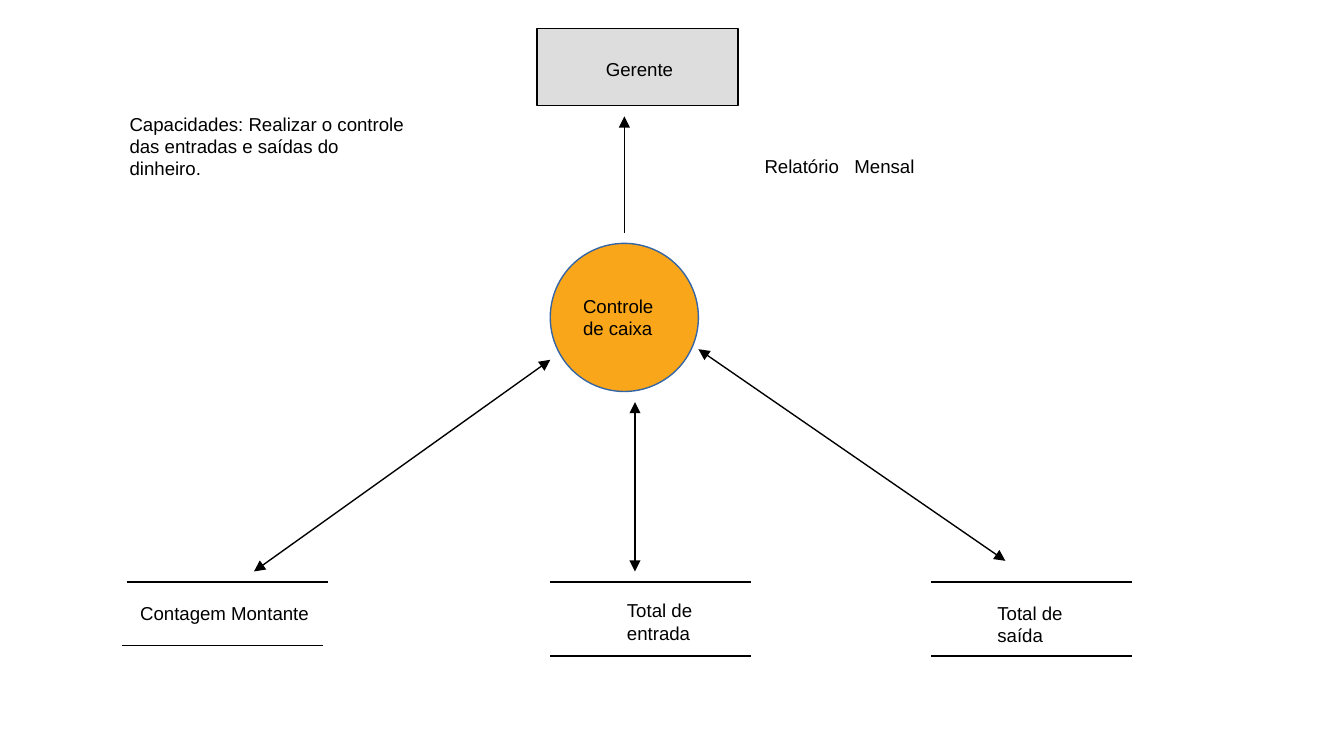
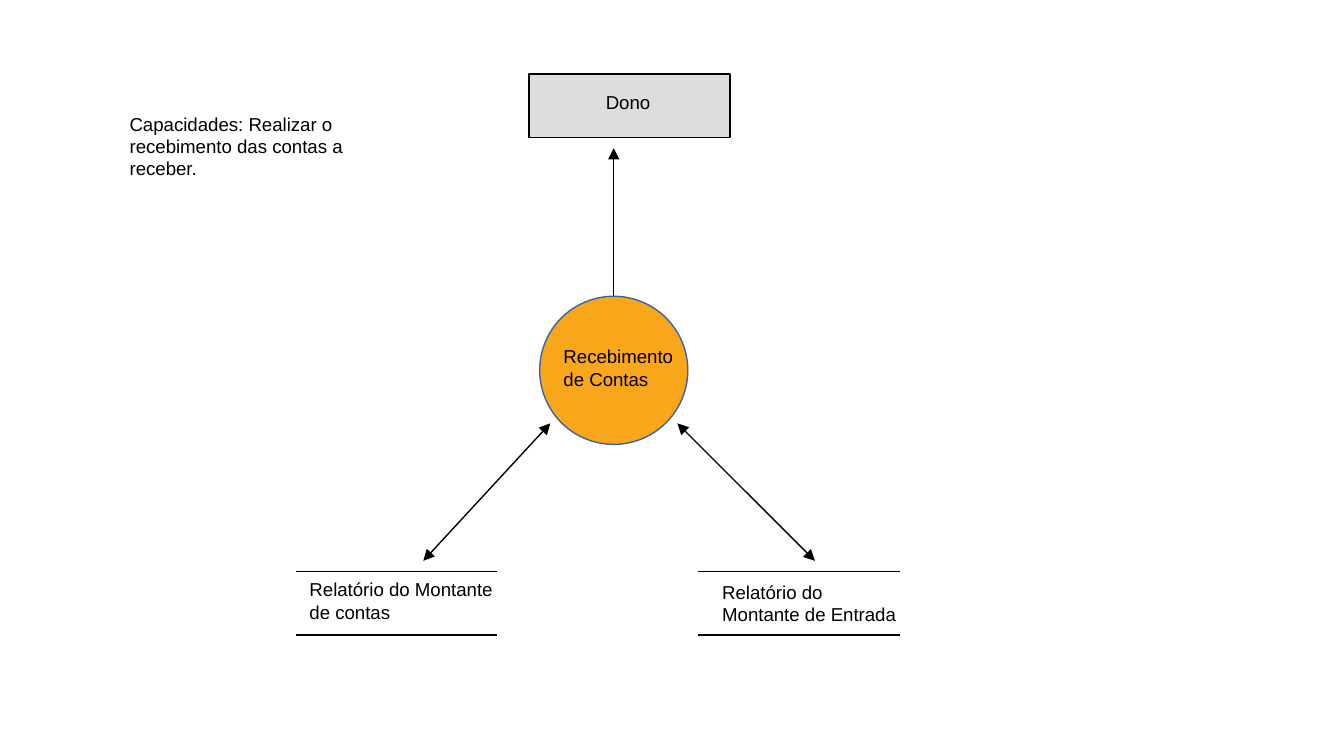
from lxml.etree import SubElement
from pptx import Presentation
from pptx.dml.color import RGBColor
from pptx.enum.shapes import MSO_CONNECTOR as CONN, MSO_SHAPE as SHAPE
from pptx.enum.text import MSO_ANCHOR as ANCHOR, PP_ALIGN as ALIGN
from pptx.oxml.ns import qn
from pptx.util import Inches, Pt

COLORS = {
    "ink": "000000",
    "entity": "DDDDDD",
    "process": "FAA61A",
    "process_line": "3465A4",
}
FONT = "Arial"
FONT_SIZE = 10
LINE_WIDTH = 0.75
WIDTH = 10
HEIGHT = WIDTH * 9 / 16
COLUMNS = 127  # square grid cells across the slide
BAR = 19       # columns spanned by an entity or a data store
CIRCLE = 14    # diameter of a process


def grid(*cells):
    """Turn grid columns and rows into lengths."""
    return [Inches(c * WIDTH / COLUMNS) for c in cells]


def rgb(name):
    return RGBColor.from_string(COLORS[name])


def add_label(slide, text, box, tab=None):
    tb = slide.shapes.add_textbox(*grid(*box))
    tf = tb.text_frame
    tf.word_wrap = True
    tf.vertical_anchor = ANCHOR.TOP
    tf.text = text
    p = tf.paragraphs[0]
    p.alignment = ALIGN.LEFT
    if tab:
        tabs = SubElement(p._p.get_or_add_pPr(), qn("a:tabLst"))
        SubElement(tabs, qn("a:tab"), pos=str(grid(tab)[0]), algn="l")
    for r in p.runs:
        r.font.name = FONT
        r.font.size = Pt(FONT_SIZE)
        r.font.color.rgb = rgb("ink")


def add_outlined(slide, kind, box, fill, line):
    sp = slide.shapes.add_shape(kind, *grid(*box))
    sp.shadow.inherit = False
    sp.fill.solid()
    sp.fill.fore_color.rgb = rgb(fill)
    sp.line.color.rgb = rgb(line)
    sp.line.width = Pt(LINE_WIDTH)


def add_line(slide, start, end, head=False, tail=False):
    """Draw a line, with a triangle at its start (head) or end (tail)."""
    cx = slide.shapes.add_connector(CONN.STRAIGHT, *grid(*start, *end))
    cx.line.color.rgb = rgb("ink")
    cx.line.width = Pt(LINE_WIDTH)
    ln = cx.line._get_or_add_ln()
    for tag, wanted in (("a:headEnd", head), ("a:tailEnd", tail)):
        if wanted:
            SubElement(ln, qn(tag), type="triangle")
    SubElement(cx._element.spPr, qn("a:effectLst"))


def add_entity(slide, text, box, label):
    """Place a grey box; the label box is relative to its corner."""
    x, y, w, h = box
    dx, dy, lw, lh = label
    add_outlined(slide, SHAPE.RECTANGLE, box, "entity", "ink")
    add_label(slide, text, (x + dx, y + dy, lw, lh))


def add_process(slide, text, corner, label):
    """Place a circle; the label box is relative to its corner."""
    x, y = corner
    dx, dy, w, h = label
    add_outlined(slide, SHAPE.OVAL, (x, y, CIRCLE, CIRCLE),
                 "process", "process_line")
    add_label(slide, text, (x + dx, y + dy, w, h))


def add_store(slide, text, corner, height, label, shift=0):
    """Place a data store: two rules, the lower one shifted, and a label."""
    x, y = corner
    dx, dy, w, h = label
    for left, top in ((x, y), (x + shift, y + height)):
        add_line(slide, (left, top), (left + BAR, top))
    add_label(slide, text, (x + dx, y + dy, w, h))


def add_diagram(prs, capability, entity, process, stores, report, flows):
    """Build a slide: one process, its entity, its stores and their flows."""
    slide = prs.slides.add_slide(prs.slide_layouts[6])
    add_process(slide, *process)
    add_entity(slide, *entity)
    for store in stores:
        add_store(slide, *store)
    add_label(slide, capability, (11, 10, 29, 7))
    for start, end in flows:
        add_line(slide, start, end, head=True, tail=True)
    add_line(slide, *report, tail=True)
    return slide


def main():
    prs = Presentation()
    prs.slide_width, prs.slide_height = Inches(WIDTH), Inches(HEIGHT)

    cash = add_diagram(
        prs,
        "Capacidades: Realizar o controle das entradas e saídas do dinheiro.",
        entity=("Gerente", (50.75, 2.67, BAR, 7.33), (5.25, 2.15, 9.2, 6.2)),
        process=("Controle de caixa", (52, 23), (1.85, 4.2, 11, 5.5)),
        stores=[
            ("Contagem Montante", (12, 55), 6, (0, 1.25, BAR, 5.2), -0.5),
            ("Total de entrada", (52, 55), 7, (6, 1, 11, 3.7)),
            ("Total de saída", (88, 55), 7, (5, 1.25, 11, 3.7)),
        ],
        report=((59, 22), (59, 11)),
        flows=[((60, 54), (60, 38)),
               ((52, 34), (24, 54)),
               ((66, 33), (95, 53))],
    )
    add_label(cash, "Relatório\tMensal", (71, 14, BAR, 5.2), tab=8.5)

    add_diagram(
        prs,
        "Capacidades: Realizar o recebimento das contas a receber.",
        entity=("Dono", (50, 7, BAR, 6), (6, 1, 8, 3.2)),
        process=("Recebimento de Contas", (51, 28), (1, 4, 13.2, 5)),
        stores=[
            ("Relatório do Montante de contas", (28, 54), 6, (0, 0, 21, 3.7)),
            ("Relatório do Montante de Entrada", (66, 54), 6,
             (1, 0.25, BAR, 3.7)),
        ],
        report=((58, 28), (58, 14)),
        flows=[((40, 53), (52, 40)),
               ((64, 40), (77, 53))],
    )
    prs.save("out.pptx")


if __name__ == "__main__":
    main()
